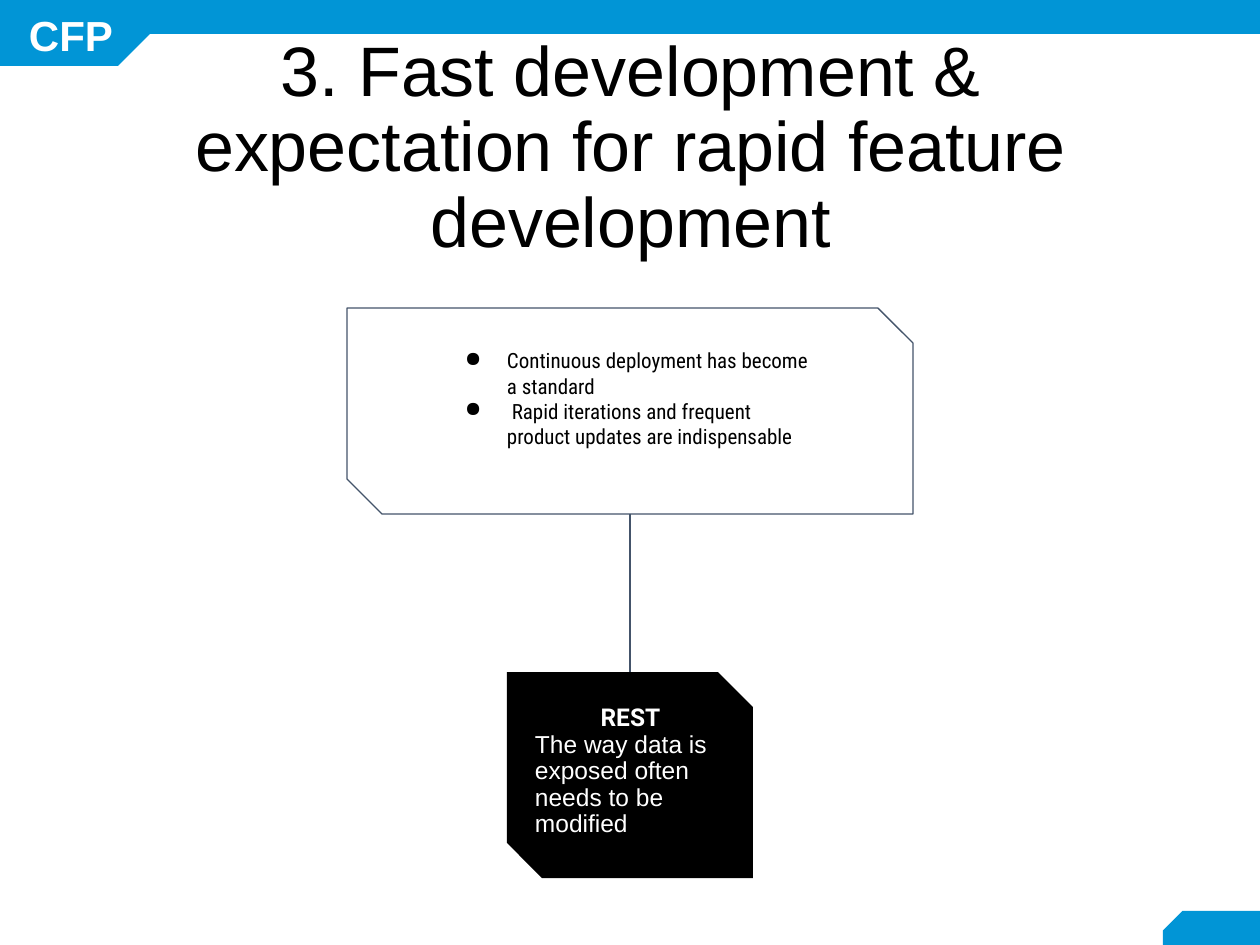
from dataclasses import dataclass
from typing import NamedTuple, Optional

import pptx
import pptx.dml.color
import pptx.enum.shapes
import pptx.enum.text
import pptx.oxml
import pptx.oxml.ns
import pptx.util

SCALE = 914400 / 126  # EMU in one px
KIND = pptx.enum.shapes.MSO_SHAPE
ALIGN = pptx.enum.text.PP_ALIGN
ANCHOR = pptx.enum.text.MSO_ANCHOR
NS = pptx.oxml.ns.nsdecls("a")


@dataclass(frozen=True)
class Theme:
    blue: str = "0195D6"
    slate: str = "44546A"
    black: str = "000000"
    white: str = "FFFFFF"
    title: int = 40
    brand: int = 24
    card: int = 14
    list: int = 12
    line: float = 0.75


THEME = Theme()


class Box(NamedTuple):
    left: int
    top: int
    width: int
    height: int


@dataclass(frozen=True)
class Panel:
    box: Box
    kind: int
    fill: Optional[str] = None
    line: Optional[str] = None
    snips: tuple = ()
    flip: bool = False
    turn: int = 0


@dataclass(frozen=True)
class Label:
    box: Box
    lines: tuple
    font: str
    size: int
    color: str
    bold: bool = False
    align: int = ALIGN.LEFT
    anchor: int = ANCHOR.TOP
    inset: int = 13
    space: Optional[float] = None
    before: int = 0
    bullet: bool = False


# Blue bands and the two panels with snipped corners
PANELS = (
    Panel(Box(1163, 911, 97, 39), KIND.SNIP_1_RECTANGLE, THEME.blue,
          snips=(0.5,), flip=True),
    Panel(Box(141, 0, 1119, 34), KIND.RECTANGLE, THEME.blue),
    Panel(Box(0, 0, 151, 66), KIND.SNIP_1_RECTANGLE, THEME.blue,
          snips=(0.5,), flip=True, turn=180),
    Panel(Box(507, 672, 246, 206), KIND.SNIP_2_DIAG_RECTANGLE, THEME.black,
          snips=(0, 0.17)),
    Panel(Box(347, 308, 566, 206), KIND.SNIP_2_DIAG_RECTANGLE,
          line=THEME.slate, snips=(0, 0.17)),
)

TITLE = Label(Box(134, 62, 993, 174),
              ("3. Fast development & expectation for rapid feature development",),
              "Arial", THEME.title, THEME.black, align=ALIGN.CENTER,
              anchor=ANCHOR.MIDDLE, inset=6, space=0.9)

LABELS = (
    Label(Box(8, 5, 126, 59), ("CFP",), "Arial", THEME.brand, THEME.white,
          bold=True, align=ALIGN.CENTER, anchor=ANCHOR.MIDDLE),
    Label(Box(532, 672, 197, 72), ("REST",), "Roboto", THEME.card, THEME.white,
          bold=True, align=ALIGN.CENTER, anchor=ANCHOR.BOTTOM),
    Label(Box(431, 335, 399, 151),
          ("Continuous deployment has become a standard",
           " Rapid iterations and frequent product updates are indispensable"),
          "Roboto Condensed", THEME.list, THEME.black, bullet=True),
    Label(Box(522, 726, 215, 134),
          ("The way data is exposed often needs to be modified",),
          "Arial", THEME.card, THEME.white, inset=6, space=0.9, before=10),
)


def emu(px: int) -> int:
    return round(px * SCALE)


def rgb(code: str):
    return pptx.dml.color.RGBColor.from_string(code)


def draw_panel(slide, panel: Panel) -> None:
    shape = slide.shapes.add_shape(panel.kind, *map(emu, panel.box))
    shape.shadow.inherit = False
    shape.rotation = panel.turn
    for i, snip in enumerate(panel.snips):
        shape.adjustments[i] = snip
    if panel.flip:
        shape.element.spPr.xfrm.set("flipH", "1")
    if panel.fill:
        shape.fill.solid()
        shape.fill.fore_color.rgb = rgb(panel.fill)
    else:
        shape.fill.background()
    if panel.line:
        shape.line.color.rgb = rgb(panel.line)
        shape.line.width = pptx.util.Pt(THEME.line)
    else:
        shape.line.fill.background()


def add_bullet(para, color: str) -> None:
    props = para._p.get_or_add_pPr()
    props.set("marL", str(emu(63)))
    props.set("indent", str(emu(-42)))
    for xml in (f'<a:buClr {NS}><a:srgbClr val="{color}"/></a:buClr>',
                f'<a:buChar {NS} char="●"/>'):
        props.append(pptx.oxml.parse_xml(xml))


def fill_text(shape, label: Label) -> None:
    shape.left, shape.top, shape.width, shape.height = map(emu, label.box)
    frame = shape.text_frame
    frame.word_wrap = True
    frame.auto_size = pptx.enum.text.MSO_AUTO_SIZE.NONE
    frame.vertical_anchor = label.anchor
    frame.margin_left = frame.margin_right = emu(13)
    frame.margin_top = frame.margin_bottom = emu(label.inset)
    for i, line in enumerate(label.lines):
        para = frame.add_paragraph() if i else frame.paragraphs[0]
        para.alignment = label.align
        para.space_before = pptx.util.Pt(label.before)
        if label.space:
            para.line_spacing = label.space
        if label.bullet:
            add_bullet(para, label.color)
        run = para.add_run()
        run.text = line
        run.font.name = label.font
        run.font.size = pptx.util.Pt(label.size)
        run.font.bold = label.bold
        run.font.color.rgb = rgb(label.color)


def draw_link(slide, upper: Box, lower: Box) -> None:
    mid = upper.left + upper.width // 2
    ends = (mid, upper.top + upper.height, mid, lower.top)
    link = slide.shapes.add_connector(
        pptx.enum.shapes.MSO_CONNECTOR.STRAIGHT, *map(emu, ends))
    link.line.color.rgb = rgb(THEME.slate)
    link.line.width = pptx.util.Pt(THEME.line)
    link._element.spPr.append(pptx.oxml.parse_xml(f"<a:effectLst {NS}/>"))


def main() -> None:
    deck = pptx.Presentation()
    deck.slide_width, deck.slide_height = emu(1260), emu(945)
    slide = deck.slides.add_slide(deck.slide_layouts[5])

    # Bands, panels and the line that joins the panels
    for panel in PANELS:
        draw_panel(slide, panel)
    card, frame = PANELS[-2:]
    draw_link(slide, frame.box, card.box)

    # Text
    fill_text(slide.shapes.title, TITLE)
    for label in LABELS:
        fill_text(slide.shapes.add_textbox(*map(emu, label.box)), label)

    deck.save("out.pptx")


if __name__ == "__main__":
    main()
